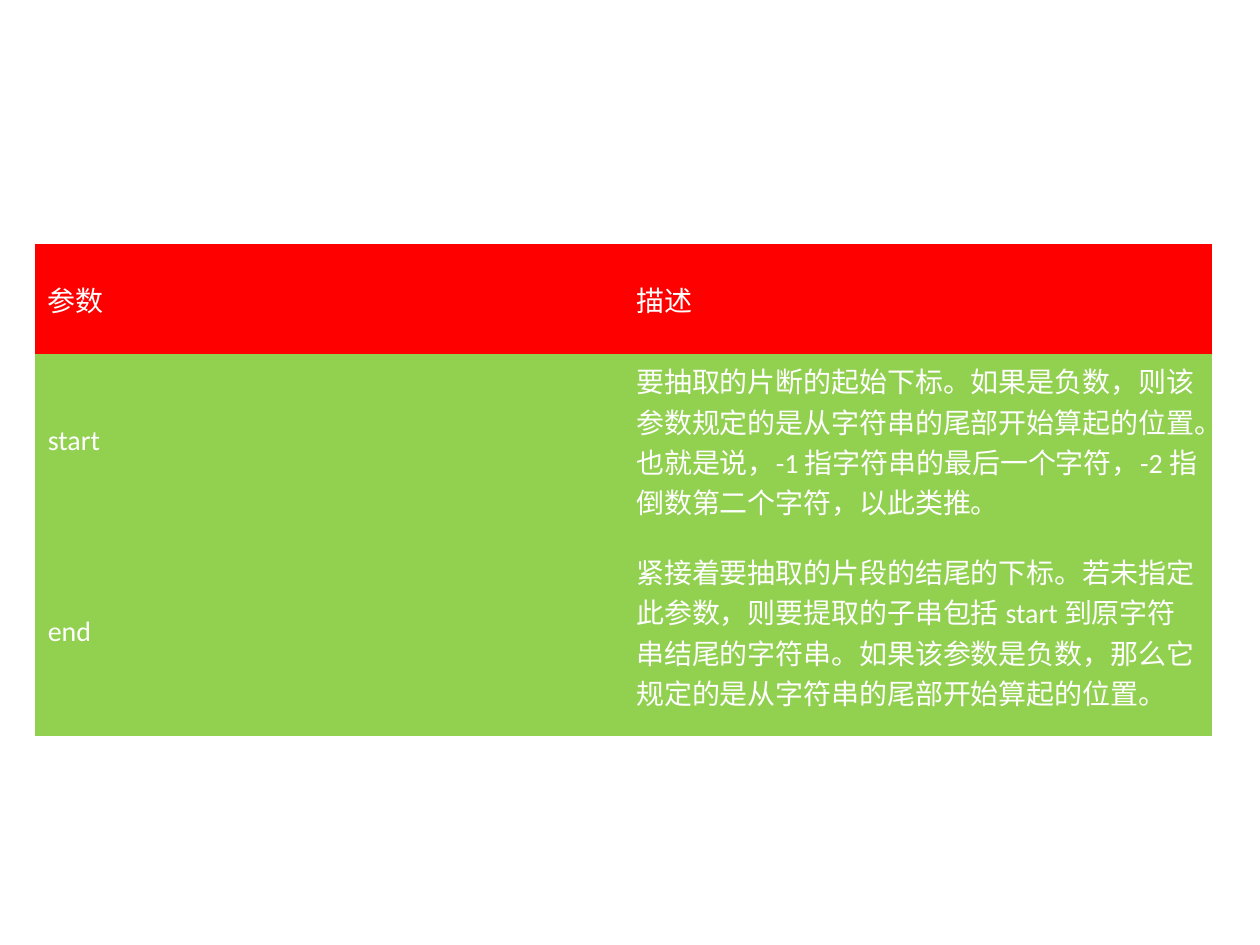
import dataclasses

import pptx
import pptx.dml.color
import pptx.enum.text
import pptx.oxml.ns
import pptx.util


@dataclasses.dataclass(frozen=True)
class Theme:
    """Colours, type and table style of the slide."""

    head_fill: str = "FF0000"
    body_fill: str = "92D050"
    text: str = "FFFFFF"
    font: str = "Calibri"
    size: int = 16
    plain_style: str = "{2D5ABB26-0587-4C30-8999-92F81FD0307C}"


THEME = Theme()
SLIDE_WIDTH, SLIDE_HEIGHT = 10, 7.5
LEFT, TOP = 0.28, 1.94
COLUMN_WIDTHS = [4.67] * 2
ROW_HEIGHTS = [0.87, 1.34, 1.65]
PARAMETERS = [
    ("参数", "描述"),
    ("start", "要抽取的片断的起始下标。如果是负数，则该参数规定的是从字符串的尾部开始算起的位置。"
              "也就是说，-1 指字符串的最后一个字符，-2 指倒数第二个字符，以此类推。"),
    ("end", "紧接着要抽取的片段的结尾的下标。若未指定此参数，则要提取的子串包括 start 到原字符串结尾的字符串。"
            "如果该参数是负数，那么它规定的是从字符串的尾部开始算起的位置。"),
]


def set_values(target, values):
    """Set every attribute named in a dict of format values."""
    for name, value in values.items():
        setattr(target, name, value)


def fill_cell(cell, text, fill):
    """Write text into a cell and colour it."""
    cell.vertical_anchor = pptx.enum.text.MSO_ANCHOR.MIDDLE
    cell.fill.solid()
    cell.fill.fore_color.rgb = pptx.dml.color.RGBColor.from_string(fill)
    span = cell.text_frame.paragraphs[0].add_run()
    span.text = text
    set_values(span.font, {"name": THEME.font, "size": pptx.util.Pt(THEME.size), "bold": False})
    span.font.color.rgb = pptx.dml.color.RGBColor.from_string(THEME.text)


def add_parameter_table(page, rows):
    """Add the table of parameters with a header row."""
    box = [pptx.util.Inches(n) for n in (LEFT, TOP, sum(COLUMN_WIDTHS), sum(ROW_HEIGHTS))]
    frame = page.shapes.add_table(len(rows), len(COLUMN_WIDTHS), *box)
    table = frame.table
    set_values(table, {"first_row": False, "horz_banding": False})
    for style in frame.element.iter(pptx.oxml.ns.qn("a:tableStyleId")):
        style.text = THEME.plain_style
    for column, width in zip(table.columns, COLUMN_WIDTHS):
        column.width = pptx.util.Inches(width)
    for row, height in zip(table.rows, ROW_HEIGHTS):
        row.height = pptx.util.Inches(height)
    for index, texts in enumerate(rows):
        fill = THEME.body_fill if index else THEME.head_fill
        for cell, text in zip(table.rows[index].cells, texts):
            fill_cell(cell, text, fill)


def main():
    """Build and save the deck."""
    deck = pptx.Presentation()
    set_values(deck, {"slide_width": pptx.util.Inches(SLIDE_WIDTH),
                      "slide_height": pptx.util.Inches(SLIDE_HEIGHT)})
    page = deck.slides.add_slide(deck.slide_layouts[6])
    add_parameter_table(page, PARAMETERS)
    deck.save("out.pptx")


if __name__ == "__main__":
    main()
